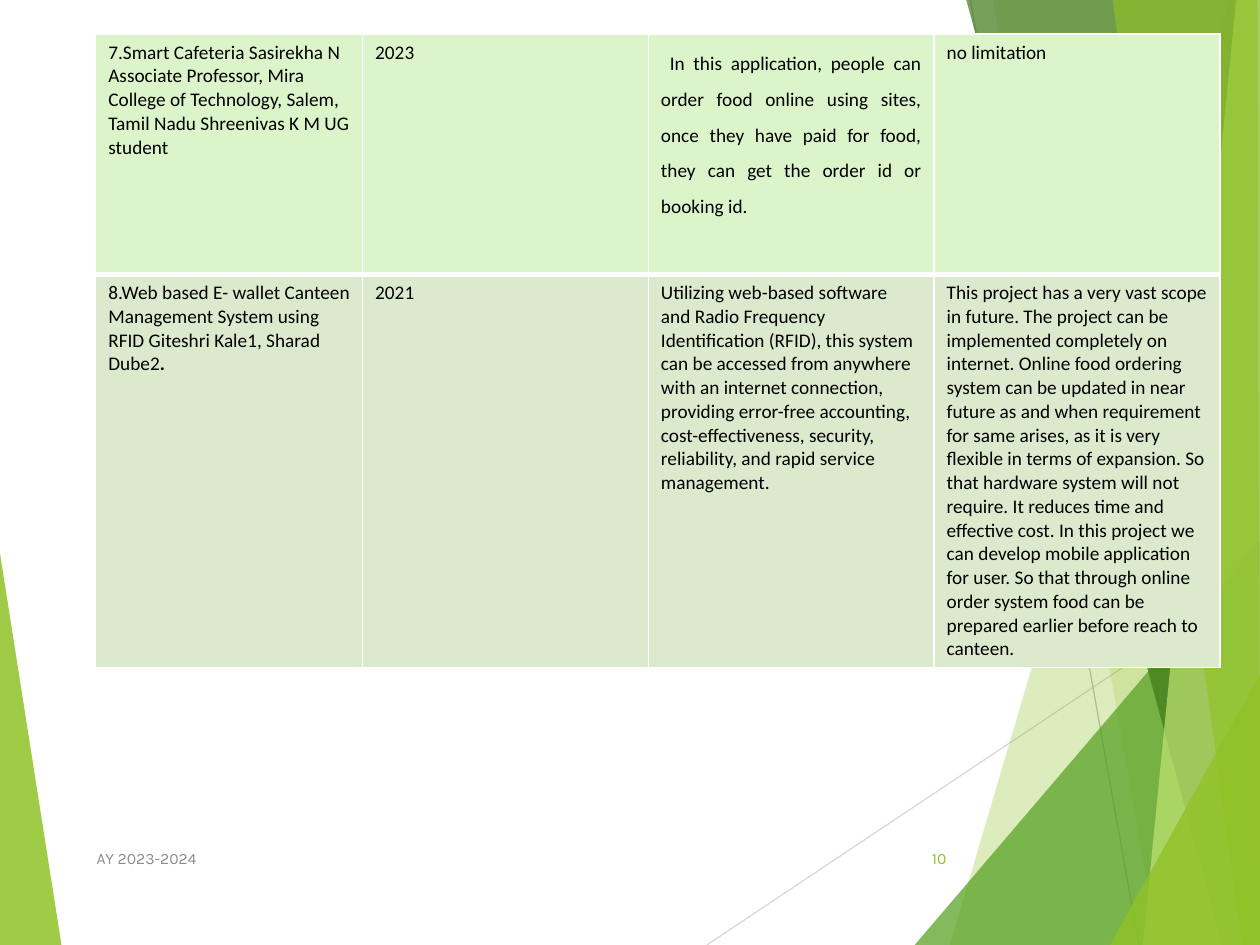
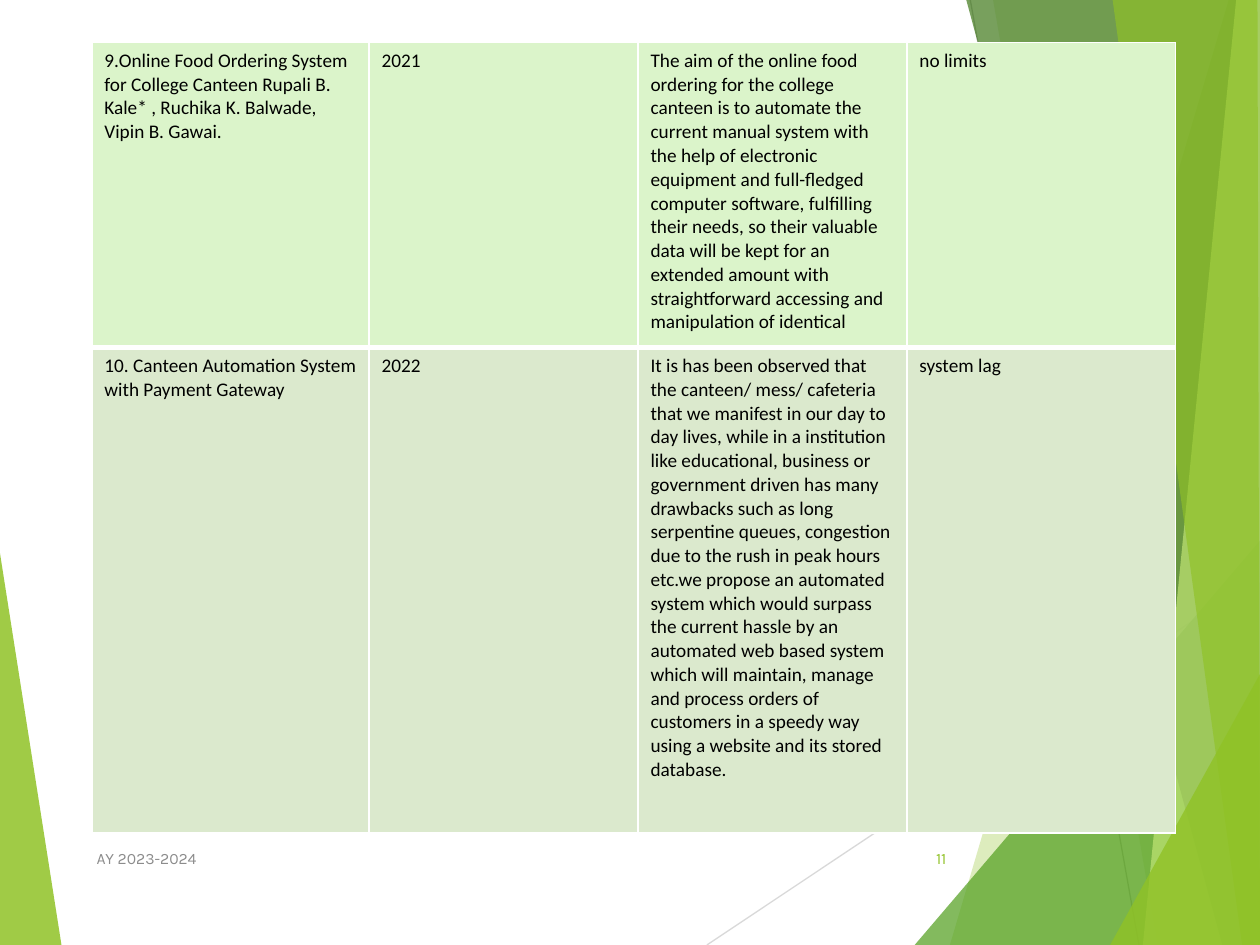
from lxml import etree
from pptx import Presentation
from pptx import util as u
from pptx.dml.color import RGBColor
from pptx.enum import shapes, text
from pptx.oxml.ns import qn

COLOURS = {
    "lime": "90C226",
    "green": "54A021",
    "forest": "3F7819",
    "pale_lime": "C0E474",
    "light_line": "D9D9D9",
    "grey_line": "BFBFBF",
    "first_row": "DBF4CA",
    "second_row": "DBE9CD",
    "border": "FFFFFF",
    "body": "000000",
    "footer": "8C8C8C",
}
BODY_FONT, FOOTER_FONT = "Calibri", "Karla"
WIDTH, HEIGHT = 25.4, 19.05  # cm

# Background facets: colour, opacity in percent, corners in cm
LEFT_FACET = ("lime", 85, [(0, 11.15), (1.24, HEIGHT), (0, HEIGHT)])
RIGHT_FACETS = [
    ("lime", 30, [(24.77, 0), (19.15, HEIGHT), (WIDTH, HEIGHT), (WIDTH, 0)]),
    ("lime", 20, [(20.02, 0), (23.34, HEIGHT), (WIDTH, HEIGHT), (WIDTH, 0)]),
    ("green", 72, [(18.44, HEIGHT), (WIDTH, 10.9), (WIDTH, HEIGHT)]),
    ("forest", 70, [(19.48, 0), (24.64, HEIGHT), (WIDTH, HEIGHT), (WIDTH, 0)]),
    ("pale_lime", 70, [(24.92, 0), (23.04, HEIGHT), (WIDTH, HEIGHT), (WIDTH, 0)]),
    ("lime", 65, [(22.43, 0), (25.04, HEIGHT), (WIDTH, HEIGHT), (25.35, 0)]),
    ("lime", 80, [(22.38, HEIGHT), (WIDTH, 13.59), (WIDTH, HEIGHT)]),
]
RAYS = [
    ("light_line", (14.25, HEIGHT), (WIDTH, 11.61)),
    ("grey_line", (19.56, 0), (22.96, HEIGHT)),
]

# Literature survey: study, year, summary, limitation
SURVEY_SLIDES = [
    {
        "number": "10",
        "position": (1.93, 0.69),
        "columns": [5.38] + [5.76] * 3,
        "rows": [4.85, 7.92],
        "justified": (0, 2),
        "studies": [
            ["7.Smart Cafeteria Sasirekha N Associate Professor, Mira College of "
             "Technology, Salem, Tamil Nadu Shreenivas K M UG student",
             "2023",
             " In this application, people can order food online using sites, once "
             "they have paid for food, they can get the order id or booking id.",
             "no limitation"],
            [("8.Web based E- wallet Canteen Management System using RFID "
              "Giteshri Kale1, Sharad Dube2", "."),
             "2021",
             "Utilizing web-based software and Radio Frequency Identification (RFID), "
             "this system can be accessed from anywhere with an internet connection, "
             "providing error-free accounting, cost-effectiveness, security, "
             "reliability, and rapid service management.",
             "This project has a very vast scope in future. The project can be "
             "implemented completely on internet. Online food ordering system can be "
             "updated in near future as and when requirement for same arises, as it is "
             "very flexible in terms of expansion. So that hardware system will not "
             "require. It reduces time and effective cost. In this project we can "
             "develop mobile application for user. So that through online order system "
             "food can be prepared earlier before reach to canteen."],
        ],
    },
    {
        "number": "11",
        "position": (1.85, 0.86),
        "columns": [5.59] + [5.42] * 3,
        "rows": [6.15, 9.78],
        "justified": None,
        "studies": [
            ["9.Online Food Ordering System for College Canteen Rupali B. Kale* , "
             "Ruchika K. Balwade, Vipin B. Gawai.",
             "2021",
             "The aim of the online food ordering for the college canteen is to "
             "automate the current manual system with the help of electronic equipment "
             "and full-fledged computer software, fulfilling their needs, so their "
             "valuable data will be kept for an extended amount with straightforward "
             "accessing and manipulation of identical",
             "no limits"],
            ["10. Canteen Automation System with Payment Gateway",
             "2022",
             "It is has been observed that the canteen/ mess/ cafeteria that we "
             "manifest in our day to day lives, while in a institution like "
             "educational, business or government driven has many drawbacks such as "
             "long serpentine queues, congestion due to the rush in peak hours etc.we "
             "propose an automated system which would surpass the current hassle by an "
             "automated web based system which will maintain, manage and process orders "
             "of customers in a speedy way using a website and its stored database.",
             "system lag"],
        ],
    },
]


def colour(name):
    return RGBColor.from_string(COLOURS[name])


def add_run(paragraph, words, font, size, colour_name, bold=False):
    run = paragraph.add_run()
    run.text = words
    run.font.name = font
    run.font.size = u.Pt(size)
    run.font.bold = bold
    run.font.color.rgb = colour(colour_name)


def add_facet(slide, colour_name, opacity, corners):
    points = [(u.Cm(x), u.Cm(y)) for x, y in corners]
    builder = slide.shapes.build_freeform(*points[0])
    builder.add_line_segments(points[1:])
    shape = builder.convert_to_shape()
    shape.shadow.inherit = False
    shape.line.fill.background()
    shape.fill.solid()
    shape.fill.fore_color.rgb = colour(colour_name)
    fill_colour = shape.element.spPr.find(qn("a:solidFill"))[0]
    etree.SubElement(fill_colour, qn("a:alpha"), val=str(opacity * 1000))
    return shape


def add_ray(slide, colour_name, start, end):
    ends = [u.Cm(value) for value in start + end]
    connector = slide.shapes.add_connector(shapes.MSO_CONNECTOR.STRAIGHT, *ends)
    connector.line.color.rgb = colour(colour_name)
    connector.line.width = u.Pt(0.75)
    etree.SubElement(connector.element.spPr, qn("a:effectLst"))
    return connector


def move_background_to_layout(slide):
    """Draw the facets once and hand them to the layout that all slides share."""
    background = [add_facet(slide, *LEFT_FACET)]
    background += [add_ray(slide, *ray) for ray in RAYS]
    background += [add_facet(slide, *facet) for facet in RIGHT_FACETS]
    for shape in background:
        slide.slide_layout.shapes.element.append(shape.element)


def add_border(cell, side, points):
    line = etree.SubElement(cell._tc.get_or_add_tcPr(), qn(f"a:ln{side}"),
                            w=str(u.Pt(points)))
    fill = etree.SubElement(line, qn("a:solidFill"))
    etree.SubElement(fill, qn("a:srgbClr"), val=COLOURS["border"])


def fill_cell(cell, content, is_first_row, justified):
    for side in "LRTB":
        add_border(cell, side, 3 if is_first_row and side == "B" else 1)
    cell.fill.solid()
    cell.fill.fore_color.rgb = colour("first_row" if is_first_row else "second_row")
    paragraph = cell.text_frame.paragraphs[0]
    if justified:
        paragraph.alignment = text.PP_ALIGN.JUSTIFY
        paragraph.line_spacing = 1.5
        paragraph.space_after = u.Pt(8)
    runs = content if isinstance(content, tuple) else (content,)
    for index, words in enumerate(runs):
        add_run(paragraph, words, BODY_FONT, 11, "body", bold=index > 0)


def add_survey_table(slide, survey):
    columns, rows = survey["columns"], survey["rows"]
    box = [u.Cm(value) for value in (*survey["position"], sum(columns), sum(rows))]
    table = slide.shapes.add_table(len(rows), len(columns), *box).table
    table.first_row = table.horz_banding = False
    for column, width in zip(table.columns, columns):
        column.width = u.Cm(width)
    for row, height in zip(table.rows, rows):
        row.height = u.Cm(height)
    for i, study in enumerate(survey["studies"]):
        for j, content in enumerate(study):
            fill_cell(table.cell(i, j), content, i == 0, (i, j) == survey["justified"])


def add_footer_text(slide, words, left, width, colour_name, alignment):
    box = slide.shapes.add_textbox(u.Cm(left), u.Cm(16.79), u.Cm(width), u.Cm(1.02))
    frame = box.text_frame
    frame.word_wrap = True
    frame.vertical_anchor = text.MSO_ANCHOR.MIDDLE
    paragraph = frame.paragraphs[0]
    paragraph.alignment = alignment
    add_run(paragraph, words, FOOTER_FONT, 9, colour_name)


def main():
    presentation = Presentation()
    presentation.slide_width = u.Cm(WIDTH)
    presentation.slide_height = u.Cm(HEIGHT)
    blank = presentation.slide_layouts[6]

    for index, survey in enumerate(SURVEY_SLIDES):
        slide = presentation.slides.add_slide(blank)
        if index == 0:
            move_background_to_layout(slide)
        add_survey_table(slide, survey)
        add_footer_text(slide, "AY 2023-2024", 1.7, 12.85, "footer", text.PP_ALIGN.LEFT)
        add_footer_text(slide, survey["number"], 17.91, 1.42, "lime", text.PP_ALIGN.RIGHT)

    presentation.save("out.pptx")


if __name__ == "__main__":
    main()
